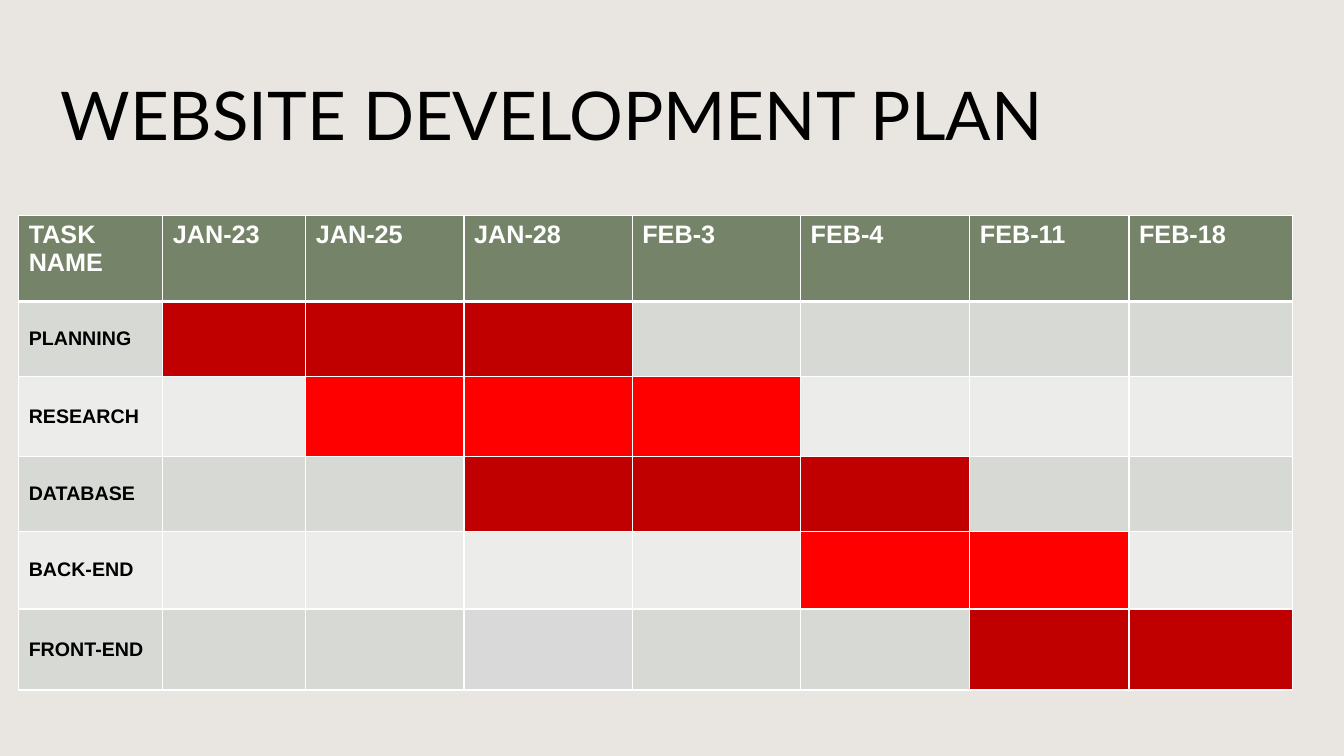
from dataclasses import dataclass

from lxml import etree
from pptx import Presentation
from pptx.dml.color import RGBColor
from pptx.enum.text import MSO_ANCHOR, MSO_AUTO_SIZE, PP_ALIGN
from pptx.oxml.ns import qn
from pptx.util import Inches, Pt

TOP, MIDDLE = MSO_ANCHOR.TOP, MSO_ANCHOR.MIDDLE
LEFT = PP_ALIGN.LEFT
NO_AUTOFIT = MSO_AUTO_SIZE.NONE
TITLE_ONLY = 5
SLIDE_WIDTH, SLIDE_HEIGHT = Inches(13.33), Inches(7.5)


@dataclass(frozen=True)
class Theme:
    background: str = "E9E5E1"
    header: str = "758468"
    bands: tuple[str, str] = ("D6D9D4", "ECEDEB")
    dark_bar: str = "C00000"
    bright_bar: str = "FF0000"
    idle_bar: str = "D9D9D9"
    ink: str = "000000"
    light: str = "FFFFFF"
    title_font: str = "Lato"
    table_font: str = "Arial"
    title_size: int = 48
    header_size: int = 18
    task_size: int = 14
    grid_line: int = 1
    header_line: int = 3


@dataclass(frozen=True)
class Bar:
    start: int
    length: int
    color: str


@dataclass(frozen=True)
class Task:
    name: str
    height: float
    bars: tuple[Bar, ...]


@dataclass(frozen=True)
class Area:
    left: float
    top: float
    width: float
    height: float

    def box(self) -> tuple[int, int, int, int]:
        return (int(self.left * SLIDE_WIDTH), int(self.top * SLIDE_HEIGHT),
                int(self.width * SLIDE_WIDTH), int(self.height * SLIDE_HEIGHT))


THEME = Theme()
TITLE_AREA = Area(0.0375, 0.0533, 0.894, 0.1933)
PLAN_AREA = Area(0.0139, 0.2849, 0.9477, 0.628)
HEADINGS = ("TASK NAME", "JAN-23", "JAN-25", "JAN-28", "FEB-3", "FEB-4", "FEB-11", "FEB-18")
COLUMN_WEIGHTS = (1.43, 1.42, 1.57, 1.67, 1.67, 1.68, 1.58, 1.62)
HEADER_HEIGHT = 0.85
TASKS = (
    Task("PLANNING", 0.74, (Bar(1, 3, THEME.dark_bar),)),
    Task("RESEARCH", 0.79, (Bar(2, 3, THEME.bright_bar),)),
    Task("DATABASE", 0.74, (Bar(3, 3, THEME.dark_bar),)),
    Task("BACK-END", 0.77, (Bar(5, 2, THEME.bright_bar),)),
    Task("FRONT-END", 0.8, (Bar(3, 1, THEME.idle_bar), Bar(6, 2, THEME.dark_bar))),
)


def write(frame, text: str, *, font: str, size: int, color: str, bold: bool = False) -> None:
    paragraph = frame.paragraphs[0]
    paragraph.alignment = LEFT
    run = paragraph.add_run()
    run.text = text
    run.font.name = font
    run.font.size = Pt(size)
    run.font.bold = bold
    run.font.color.rgb = RGBColor.from_string(color)


def paint(fill, color: str) -> None:
    fill.solid()
    fill.fore_color.rgb = RGBColor.from_string(color)


def set_borders(cell, *, top: int, bottom: int) -> None:
    properties = cell._tc.get_or_add_tcPr()
    widths = {"a:lnL": THEME.grid_line, "a:lnR": THEME.grid_line, "a:lnT": top, "a:lnB": bottom}
    for tag, width in widths.items():
        line = etree.SubElement(properties, qn(tag), w=str(Pt(width)))
        solid = etree.SubElement(line, qn("a:solidFill"))
        etree.SubElement(solid, qn("a:srgbClr"), val=THEME.light)


def share_out(tracks, total: int, weights: list[float], dimension: str) -> None:
    for track, weight in zip(tracks, weights):
        setattr(track, dimension, int(total * weight / sum(weights)))


def add_title(slide, text: str) -> None:
    title = slide.shapes.title
    title.left, title.top, title.width, title.height = TITLE_AREA.box()
    frame = title.text_frame
    frame.word_wrap = True
    frame.auto_size = NO_AUTOFIT
    frame.vertical_anchor = MIDDLE
    write(frame, text, font=THEME.title_font, size=THEME.title_size, color=THEME.ink)


def add_plan(slide) -> None:
    left, top, width, height = PLAN_AREA.box()
    plan = slide.shapes.add_table(len(TASKS) + 1, len(HEADINGS), left, top, width, height).table
    share_out(plan.columns, width, list(COLUMN_WEIGHTS), "width")
    share_out(plan.rows, height, [HEADER_HEIGHT] + [task.height for task in TASKS], "height")

    for column, heading in enumerate(HEADINGS):
        cell = plan.cell(0, column)
        set_borders(cell, top=THEME.grid_line, bottom=THEME.header_line)
        paint(cell.fill, THEME.header)
        cell.vertical_anchor = TOP
        write(cell.text_frame, heading, font=THEME.table_font, size=THEME.header_size,
              color=THEME.light, bold=True)

    for row, task in enumerate(TASKS, start=1):
        colors = [THEME.bands[(row - 1) % 2]] * len(HEADINGS)
        for bar in task.bars:
            colors[bar.start:bar.start + bar.length] = [bar.color] * bar.length
        for column, color in enumerate(colors):
            cell = plan.cell(row, column)
            set_borders(cell, top=THEME.header_line if row == 1 else THEME.grid_line,
                        bottom=THEME.grid_line)
            paint(cell.fill, color)
        name_cell = plan.cell(row, 0)
        name_cell.vertical_anchor = MIDDLE
        write(name_cell.text_frame, task.name, font=THEME.table_font, size=THEME.task_size,
              color=THEME.ink, bold=True)


presentation = Presentation()
presentation.slide_width, presentation.slide_height = SLIDE_WIDTH, SLIDE_HEIGHT
plan_slide = presentation.slides.add_slide(presentation.slide_layouts[TITLE_ONLY])
paint(plan_slide.background.fill, THEME.background)
add_title(plan_slide, "WEBSITE DEVELOPMENT PLAN")
add_plan(plan_slide)
presentation.save("out.pptx")
